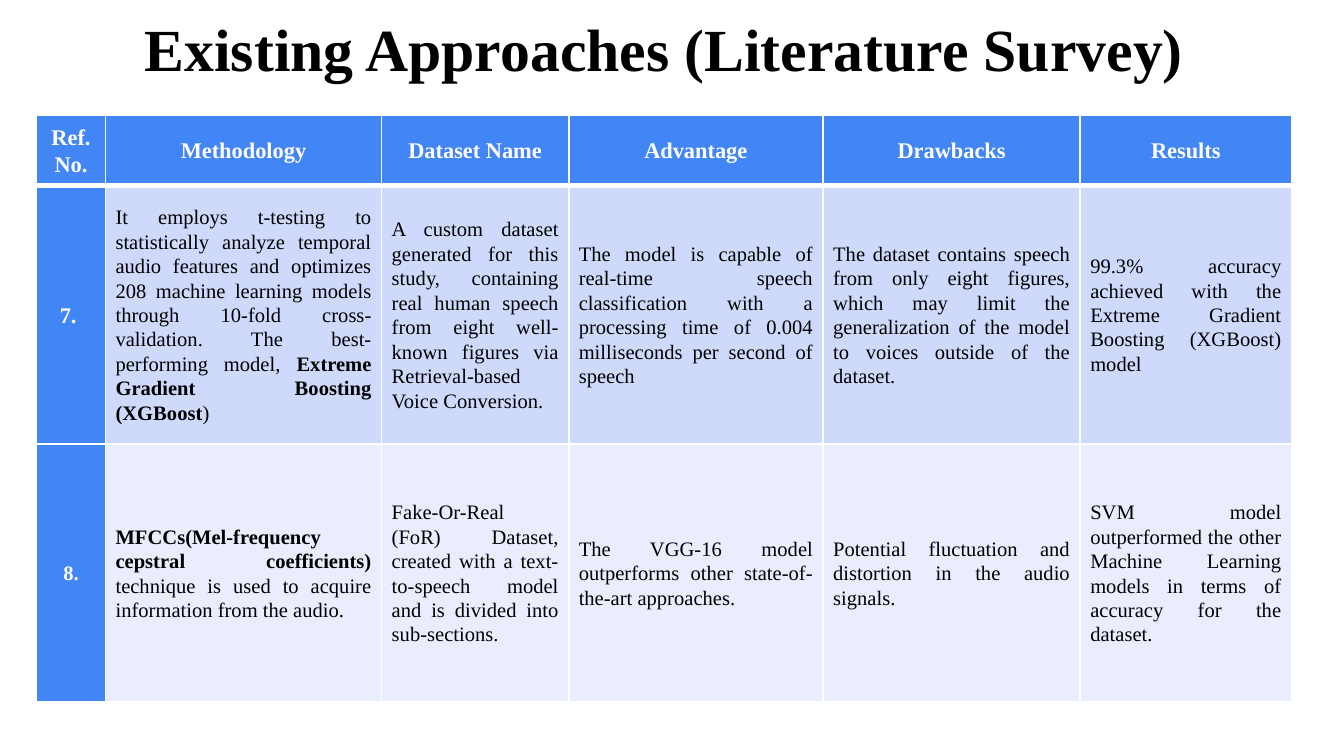
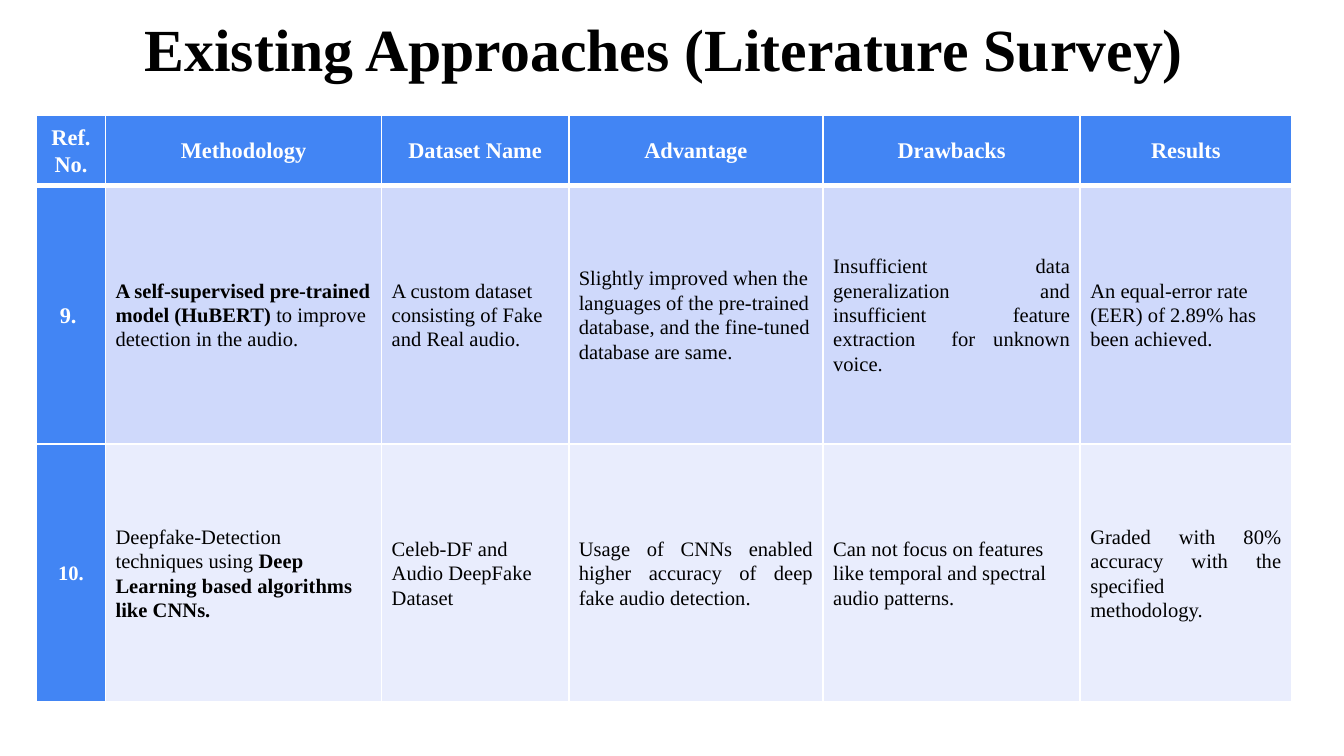
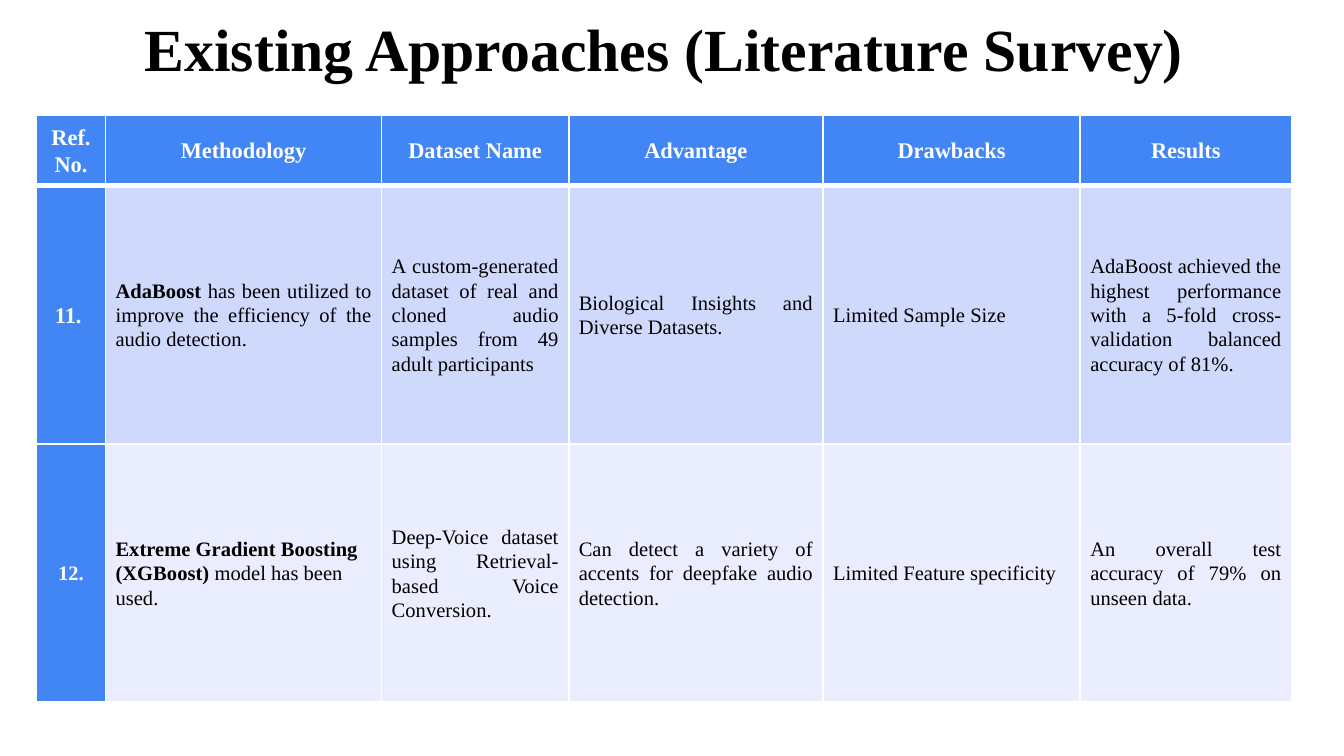
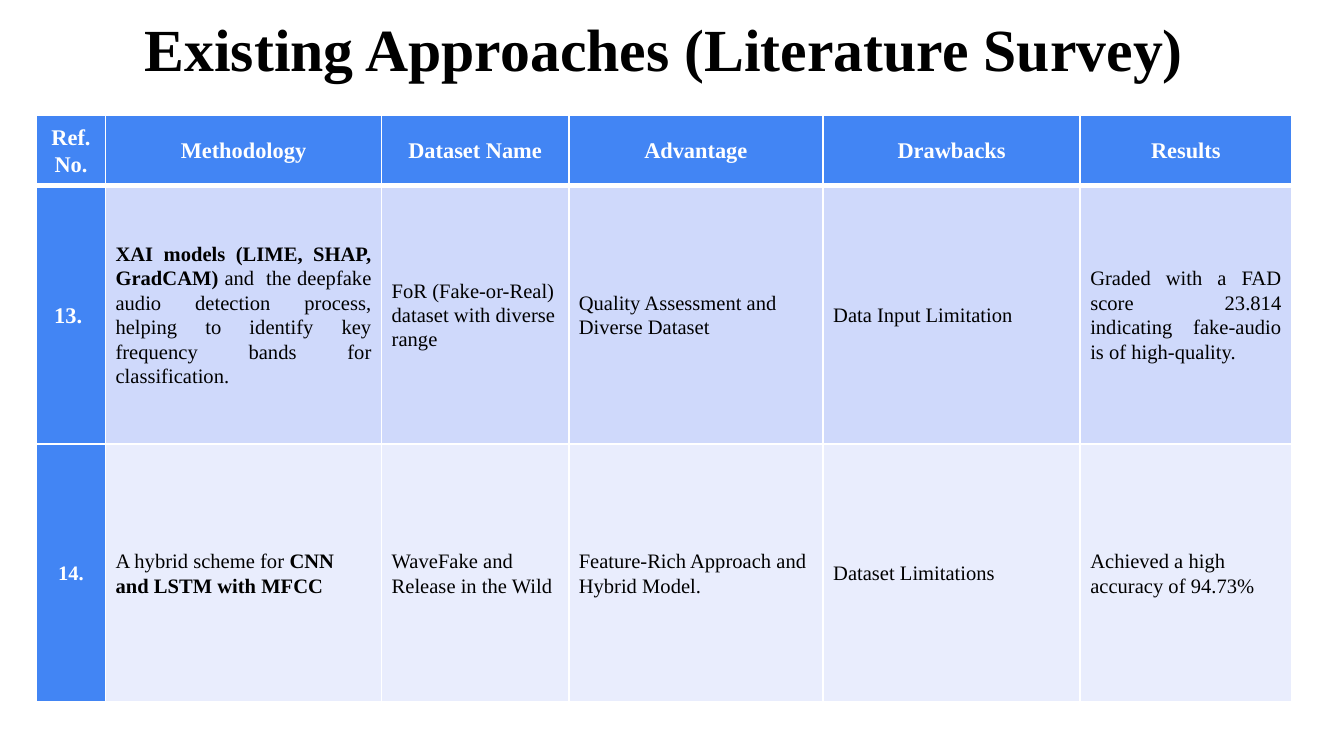
import lxml.etree
import pptx
import pptx.dml.color
import pptx.enum.text
import pptx.oxml.ns
import pptx.util

RGB = pptx.dml.color.RGBColor
ALIGN = pptx.enum.text.PP_ALIGN
ANCHOR = pptx.enum.text.MSO_ANCHOR

# Shared style
BLACK = RGB(0x00, 0x00, 0x00)
WHITE = RGB(0xFF, 0xFF, 0xFF)
BLUE = RGB(0x42, 0x85, 0xF4)
BAND_DARK = RGB(0xCF, 0xD9, 0xFB)
BAND_LIGHT = RGB(0xE9, 0xED, 0xFD)
FONT = "Times New Roman"
TITLE_FONT = {"size": pptx.util.Pt(32), "bold": True}
HEAD_FONT = {"size": pptx.util.Pt(12), "bold": True}
BODY_FONT = {"size": pptx.util.Pt(11), "bold": False}

# Lengths below are in grid units: the slide is 100 columns wide, square cells
GRID_COLS = 100
TITLE_BOX = (0, -0.1, 100, 8.7)
TABLE_AT = (2.72, 8.6)
COL_WIDTHS = (5.13, 20.55, 13.92, 18.93, 19.13, 15.72)
ROW_HEIGHTS = (5.22, 19.22, 19.22)

TITLE = "Existing Approaches (Literature Survey) "
HEADINGS = ("Ref. No.", "Methodology", "Dataset Name", "Advantage",
            "Drawbacks", "Results")

# One list per slide; a row is its alignments (J justified, L left) and texts.
# Double asterisks enclose bold words.
SURVEY = [
    [("JJJJJ", "7. ",
      "It employs t-testing to statistically analyze temporal audio features and "
      "optimizes 208 machine learning models through 10-fold cross-validation. The "
      "best-performing model, **Extreme Gradient Boosting (XGBoost**)",
      "A custom dataset generated for this study, containing real human speech from "
      "eight well-known figures via Retrieval-based Voice Conversion. ",
      "The model is capable of real-time speech classification with a processing time "
      "of 0.004 milliseconds per second of speech",
      "The dataset contains speech from only eight figures, which may limit the "
      "generalization of the model to voices outside of the dataset.",
      "99.3% accuracy achieved with the Extreme Gradient Boosting (XGBoost) model"),
     ("JJJJJ", "8.",
      "**MFCCs(Mel-frequency cepstral coefficients) **technique is used to acquire "
      "information from the audio.",
      "Fake-Or-Real (FoR) Dataset, created with a text-to-speech model and is divided "
      "into sub-sections.",
      "The VGG-16 model outperforms other state-of-the-art approaches.",
      "Potential fluctuation and distortion in the audio signals.",
      "SVM model outperformed the other Machine Learning models in terms of accuracy "
      "for the dataset.")],
    [("LLLJL", "9. ",
      "**A self-supervised pre-trained model (HuBERT) **to improve detection in the "
      "audio.",
      "A custom dataset consisting of Fake and Real audio.",
      "Slightly improved when the languages of the pre-trained database, and the "
      "fine-tuned database are same.",
      "Insufficient data generalization and insufficient feature extraction  for "
      "unknown voice.",
      "An equal-error rate (EER) of 2.89% has been achieved."),
     ("LLJLJ", "10.",
      "Deepfake-Detection techniques using** Deep Learning based algorithms like "
      "CNNs.**",
      "Celeb-DF and Audio DeepFake Dataset",
      "Usage of CNNs enabled higher accuracy of deep fake audio detection.",
      "Can not focus on features like temporal and spectral audio patterns.",
      "Graded with 80% accuracy with the specified methodology.")],
    [("JJJLJ", "11. ",
      "**AdaBoost** has been utilized to improve the efficiency of the audio "
      "detection. ",
      "A custom-generated dataset of real and cloned audio samples from 49 adult "
      "participants",
      "Biological Insights and Diverse Datasets.",
      "Limited Sample Size",
      "AdaBoost achieved the highest performance with a 5-fold cross-validation "
      "balanced accuracy of 81%."),
     ("LJJLJ", "12.",
      "**Extreme Gradient Boosting (XGBoost) **model has been used.",
      "Deep-Voice dataset using Retrieval-based Voice Conversion.",
      "Can detect a variety of accents for deepfake audio detection.",
      "Limited Feature specificity",
      "An overall test accuracy of 79% on unseen data.")],
    [("JLLLJ", "13. ",
      "**XAI models (LIME, SHAP, GradCAM) **and  the deepfake audio detection "
      "process, helping to identify key frequency bands for classification.",
      "FoR (Fake-or-Real) dataset with diverse range",
      "Quality Assessment and Diverse Dataset",
      "Data Input Limitation",
      "Graded with a FAD score 23.814 indicating fake-audio is of high-quality."),
     ("LLLLL", "14.",
      "A hybrid scheme for **CNN and LSTM with MFCC**",
      "WaveFake and Release in the Wild",
      "Feature-Rich Approach and Hybrid Model.",
      "Dataset Limitations",
      "Achieved a high accuracy of 94.73%")],
]


def apply(target, values):
    for name, value in values.items():
        setattr(target, name, value)


class Deck:
    """Holds the presentation, its style and the current slide."""

    def __init__(self):
        self.prs = pptx.Presentation()
        self.prs.slide_width = pptx.util.Inches(10)
        self.prs.slide_height = self.prs.slide_width * 9 // 16
        self.s = None

    def grid(self, units):
        return round(self.prs.slide_width * units / GRID_COLS)

    def new_slide(self):
        self.s = self.prs.slides.add_slide(self.prs.slide_layouts[5])

    def runs(self, p, text, font, color):
        for i, part in enumerate(text.split("**")):
            if part:
                r = p.add_run()
                r.text = part
                apply(r.font, {"name": FONT, **font})
                r.font.bold = font["bold"] or i % 2 == 1
                r.font.color.rgb = color

    def title(self, text):
        sp = self.s.shapes.title
        apply(sp, dict(zip(("left", "top", "width", "height"),
                           map(self.grid, TITLE_BOX))))
        tf = sp.text_frame
        inset = self.grid(1)
        apply(tf, {"margin_left": inset, "margin_right": inset,
                   "margin_top": inset, "margin_bottom": inset,
                   "word_wrap": True, "vertical_anchor": ANCHOR.TOP,
                   "auto_size": pptx.enum.text.MSO_AUTO_SIZE.NONE})
        p = tf.paragraphs[0]
        p.alignment = ALIGN.CENTER
        self.runs(p, text, TITLE_FONT, BLACK)

    def borders(self, cell, **widths):
        tc_pr = cell._tc.get_or_add_tcPr()
        qn = pptx.oxml.ns.qn
        for i, side in enumerate("LRTB"):
            ln = lxml.etree.Element(
                qn("a:ln" + side), w=str(int(pptx.util.Pt(widths.get(side, 1)))))
            fill = lxml.etree.SubElement(ln, qn("a:solidFill"))
            lxml.etree.SubElement(fill, qn("a:srgbClr"), val=str(WHITE))
            tc_pr.insert(i, ln)

    def cell(self, cell, text, fill, font, color, align, **border_widths):
        inset = self.grid(0.75)
        apply(cell, {"margin_left": inset, "margin_right": inset,
                     "margin_top": 0, "margin_bottom": 0,
                     "vertical_anchor": ANCHOR.MIDDLE})
        cell.fill.solid()
        cell.fill.fore_color.rgb = fill
        p = cell.text_frame.paragraphs[0]
        apply(p, {"alignment": align, "line_spacing": 1.07})
        self.runs(p, text, font, color)
        self.borders(cell, **border_widths)

    def table(self, rows):
        size = (sum(COL_WIDTHS), sum(ROW_HEIGHTS))
        table = self.s.shapes.add_table(
            len(ROW_HEIGHTS), len(COL_WIDTHS),
            *map(self.grid, TABLE_AT + size)).table
        for column, width in zip(table.columns, COL_WIDTHS):
            column.width = self.grid(width)
        for row, height in zip(table.rows, ROW_HEIGHTS):
            row.height = self.grid(height)

        # Heading row, with a thick rule below it
        for c, heading in enumerate(HEADINGS):
            self.cell(table.cell(0, c), heading, BLUE, HEAD_FONT, WHITE,
                      ALIGN.CENTER, B=3)

        # Survey rows: reference number, then the banded texts
        number_fonts = (HEAD_FONT, {**BODY_FONT, "bold": True})
        bands = (BAND_DARK, BAND_LIGHT)
        for i, (aligns, number, *texts) in enumerate(rows):
            top = 3 if i == 0 else 1
            self.cell(table.cell(i + 1, 0), number, BLUE, number_fonts[i],
                      WHITE, ALIGN.CENTER, T=top)
            for c, (key, text) in enumerate(zip(aligns, texts), 1):
                align = ALIGN.JUSTIFY if key == "J" else ALIGN.LEFT
                self.cell(table.cell(i + 1, c), text, bands[i], BODY_FONT,
                          BLACK, align, T=top)


def main():
    deck = Deck()
    for rows in SURVEY:
        deck.new_slide()
        deck.title(TITLE)
        deck.table(rows)
    deck.prs.save("out.pptx")


if __name__ == "__main__":
    main()
